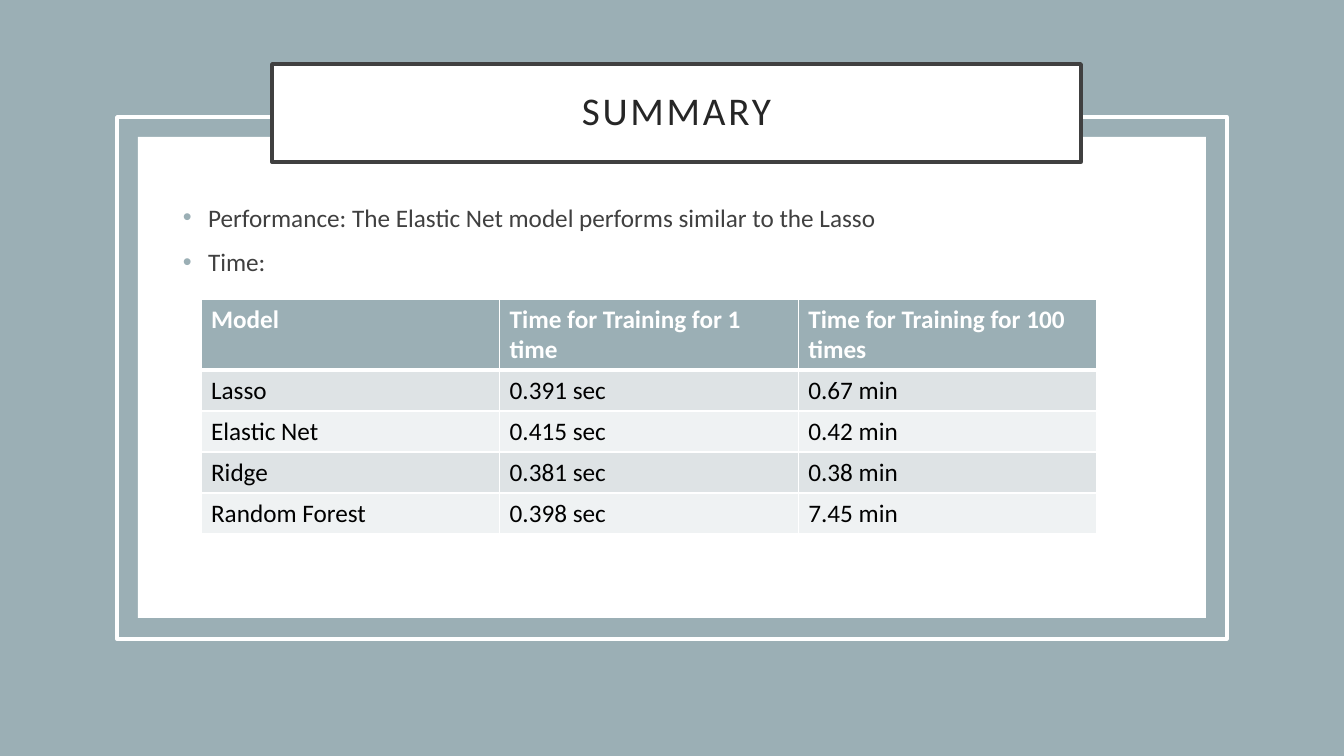
from typing import NamedTuple, Optional

from lxml.etree import SubElement
from pptx import Presentation
from pptx.dml.color import RGBColor
from pptx.enum.shapes import MSO_SHAPE
from pptx.enum.text import MSO_ANCHOR, PP_ALIGN
from pptx.oxml import parse_xml
from pptx.oxml.ns import nsdecls, qn
from pptx.util import Emu, Pt

PIXEL = 914400 / 100.8
FONT = "Calibri"
SLATE = RGBColor(0x9B, 0xAF, 0xB5)
WHITE = RGBColor(0xFF, 0xFF, 0xFF)
BLACK = RGBColor(0x00, 0x00, 0x00)
INK = RGBColor(0x26, 0x26, 0x26)
GRAY = RGBColor(0x40, 0x40, 0x40)
BAND_DARK = RGBColor(0xDE, 0xE3, 0xE5)
BAND_LIGHT = RGBColor(0xEF, 0xF2, 0xF3)


class Box(NamedTuple):
    left: int
    top: int
    width: int
    height: int


class Panel(NamedTuple):
    box: Box
    fill: Optional[RGBColor] = None
    line: Optional[RGBColor] = None


PANELS = [
    Panel(Box(0, 0, 1344, 756), fill=SLATE),
    Panel(Box(138, 137, 1068, 481), fill=WHITE),
    Panel(Box(117, 117, 1110, 522), line=WHITE),
]
TITLE = Panel(Box(272, 64, 809, 98), fill=WHITE, line=GRAY)
BULLETS_BOX = Box(173, 197, 983, 374)
BULLETS = ["Performance: The Elastic Net model performs similar to the Lasso", "Time:"]
TABLE_BOX = Box(201, 299, 896, 235)
HEADER_HEIGHT, ROW_HEIGHT = 71, 41
ROWS = [
    ("Model", "Time for Training for 1 time", "Time for Training for 100 times"),
    ("Lasso", "0.391 sec", "0.67 min"),
    ("Elastic Net", "0.415 sec", "0.42 min"),
    ("Ridge", "0.381 sec", "0.38 min"),
    ("Random Forest", "0.398 sec", "7.45 min"),
]


def px(pixels: float) -> Emu:
    return Emu(round(pixels * PIXEL))


def place(box: Box) -> list[Emu]:
    return [px(length) for length in box]


def write(paragraph, text: str, *, color: RGBColor, size: int = 18,
          bold: bool = False, spacing: int = 0) -> None:
    run = paragraph.add_run()
    run.text = text
    run.font.name, run.font.size, run.font.bold = FONT, Pt(size), bold
    run.font.color.rgb = color
    if spacing:
        run.font._element.set("spc", str(spacing * 100))


def paint(shape, panel: Panel) -> None:
    if panel.fill is None:
        shape.fill.background()
    else:
        shape.fill.solid()
        shape.fill.fore_color.rgb = panel.fill
    if panel.line is None:
        shape.line.fill.background()
    else:
        shape.line.color.rgb = panel.line
        shape.line.width = Pt(2.5)


def add_panel(slide, panel: Panel) -> None:
    shape = slide.shapes.add_shape(MSO_SHAPE.RECTANGLE, *place(panel.box))
    shape.shadow.inherit = False
    paint(shape, panel)


def format_title(slide, panel: Panel, text: str) -> None:
    title = slide.shapes.title
    title.left, title.top, title.width, title.height = place(panel.box)
    paint(title, panel)
    frame = title.text_frame
    frame.word_wrap = True
    frame.vertical_anchor = MSO_ANCHOR.MIDDLE
    frame.margin_left = frame.margin_right = px(20)
    frame.margin_top = frame.margin_bottom = px(20)
    paragraph = frame.paragraphs[0]
    paragraph.alignment = PP_ALIGN.CENTER
    paragraph.line_spacing = 0.9
    write(paragraph, text, color=INK, size=28, spacing=2)
    # Bring the title in front of the panels
    title.element.getparent().append(title.element)


def add_bullets(slide, box: Box, items: list[str]) -> None:
    frame = slide.shapes.add_textbox(*place(box)).text_frame
    frame.word_wrap = True
    for index, item in enumerate(items):
        paragraph = frame.add_paragraph() if index else frame.paragraphs[0]
        paragraph.space_before = Pt(10)
        properties = paragraph._p.get_or_add_pPr()
        properties.set("marL", str(Pt(18)))
        properties.set("indent", str(-Pt(18)))
        bullet_color = SubElement(properties, qn("a:buClr"))
        SubElement(bullet_color, qn("a:srgbClr"), val=str(SLATE))
        SubElement(properties, qn("a:buFont"), typeface="Arial")
        SubElement(properties, qn("a:buChar"), char="•")
        write(paragraph, item, color=GRAY)


def set_borders(cell, widths: dict[str, int]) -> None:
    properties = cell._tc.get_or_add_tcPr()
    for index, (side, width) in enumerate(widths.items()):
        properties.insert(index, parse_xml(
            f'<a:ln{side} {nsdecls("a")} w="{Pt(width)}"><a:solidFill>'
            f'<a:srgbClr val="{WHITE}"/></a:solidFill></a:ln{side}>'))


def add_times_table(slide, box: Box, rows: list[tuple[str, ...]]) -> None:
    table = slide.shapes.add_table(len(rows), len(rows[0]), *place(box)).table
    for column in table.columns:
        column.width = px(box.width / len(rows[0]))
    for row_index, values in enumerate(rows):
        header = row_index == 0
        table.rows[row_index].height = px(HEADER_HEIGHT if header else ROW_HEIGHT)
        band = BAND_DARK if row_index % 2 else BAND_LIGHT
        for column_index, value in enumerate(values):
            cell = table.cell(row_index, column_index)
            cell.fill.solid()
            cell.fill.fore_color.rgb = SLATE if header else band
            write(cell.text_frame.paragraphs[0], value,
                  color=WHITE if header else BLACK, bold=header)
            set_borders(cell, {"L": 1, "R": 1, "T": 3 if row_index == 1 else 1,
                               "B": 3 if header else 1})


presentation = Presentation()
presentation.slide_width, presentation.slide_height = px(1344), px(756)
slide = presentation.slides.add_slide(presentation.slide_layouts[5])

# Backdrop, card and frame
for panel in PANELS:
    add_panel(slide, panel)

# Title and content
format_title(slide, TITLE, "SUMMARY")
add_bullets(slide, BULLETS_BOX, BULLETS)
add_times_table(slide, TABLE_BOX, ROWS)

presentation.save("out.pptx")
